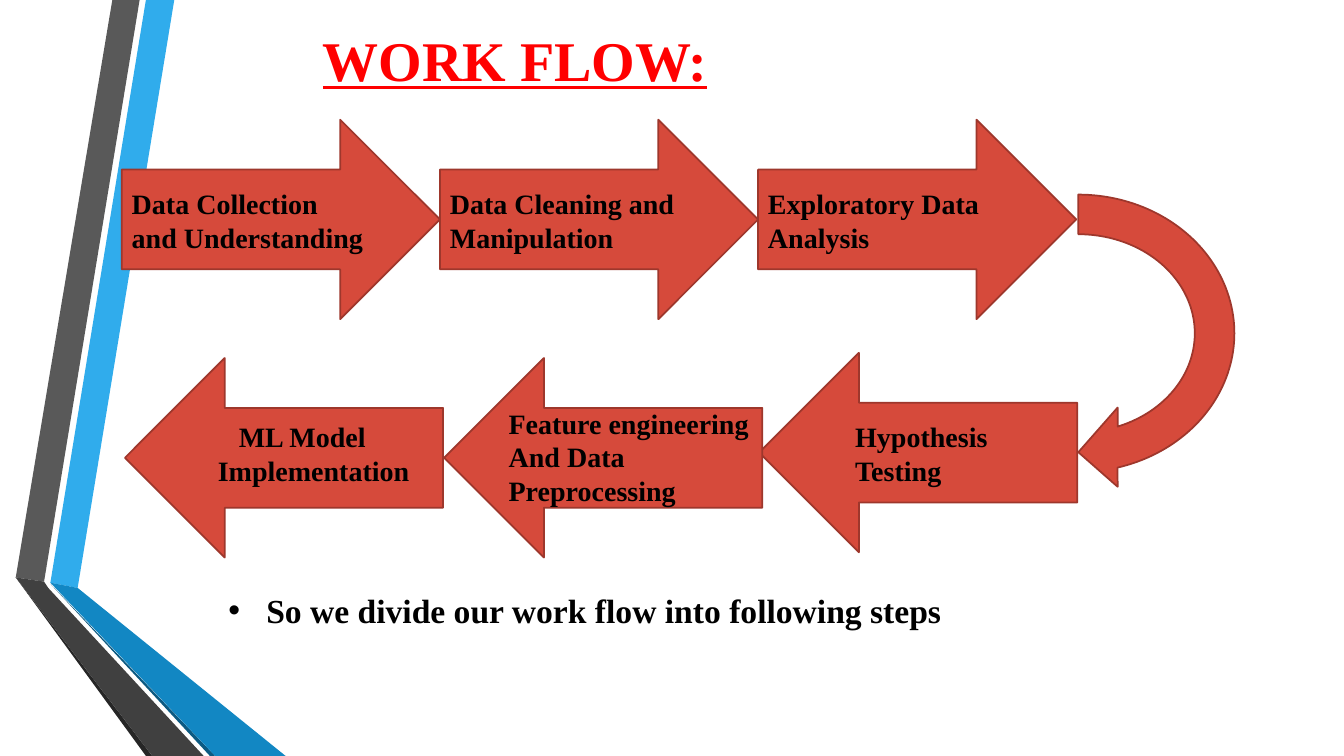
from pptx import Presentation
from pptx.dml.color import RGBColor
from pptx.enum.shapes import MSO_SHAPE
from pptx.enum.text import MSO_ANCHOR, MSO_AUTO_SIZE, PP_ALIGN
from pptx.util import Pt

PX = 9525  # 96 px to the inch
FONT = "Times New Roman"
COLORS = {
    "title": "FF0000", "text": "000000",
    "arrow": "D64A3B", "edge": "9E372C",
    "blue": "30ACEC", "azure": "1287C3", "navy": "0C5A82",
    "gray": "595959", "dark": "404040", "black": "262626",
}

RIBBONS = [
    ("blue", [(48, 555), (74, 560), (166, 0), (139, 0)]),
    ("gray", [(133, 0), (107, 0), (15, 550), (42, 554)]),
    ("black", [(15, 550), (139, 720), (145, 720)]),
    ("navy", [(48, 556), (200, 720), (205, 720)]),
    ("azure", [(48, 555), (205, 720), (272, 720), (74, 560)]),
    ("dark", [(194, 720), (46, 560), (42, 554), (15, 550), (145, 720)]),
]
TOP = ["Data Collection and Understanding",
       "Data Cleaning and Manipulation",
       "Exploratory Data Analysis"]
# Arrow left and top, label box, first line indent, label
BOTTOM = [
    ((723, 336), (805, 395, 241, 74), 0, "Hypothesis\nTesting"),
    ((423, 341), (475, 382, 275, 107), 0,
     "Feature engineering\nAnd Data Preprocessing"),
    ((119, 341), (198, 395, 241, 74), 20, "ML Model\nImplementation"),
]
SIZE = (303, 190)


def color(name):
    return RGBColor.from_string(COLORS[name])


def place(shape, box):
    shape.left, shape.top, shape.width, shape.height = [v * PX for v in box]


def write(frame, text, size, tint="text", line=False):
    frame.text = text
    frame.word_wrap = True
    frame.auto_size = MSO_AUTO_SIZE.NONE
    for par in frame.paragraphs:
        par.alignment = PP_ALIGN.LEFT
        par.space_before = Pt(0)
        for run in par.runs:
            font = run.font
            font.name, font.size, font.bold = FONT, Pt(size), True
            font.underline = line
            font.color.rgb = color(tint)


def indent(par, left, first):
    props = par._p.get_or_add_pPr()
    props.set("marL", str(left * PX))
    props.set("indent", str(first * PX))


def add_arrow(slide, kind, box, turn=0):
    arrow = slide.shapes.add_shape(kind, *[v * PX for v in box])
    arrow.rotation = turn
    arrow.shadow.inherit = False
    arrow.fill.solid()
    arrow.fill.fore_color.rgb = color("arrow")
    arrow.line.color.rgb = color("edge")
    arrow.line.width = Pt(1.25)


def add_label(slide, box, text, first=0):
    frame = slide.shapes.add_textbox(*[v * PX for v in box]).text_frame
    write(frame, text, 20)
    indent(frame.paragraphs[0], 0, first)


def add_ribbons(slide):
    group = slide.shapes.add_group_shape()
    for name, points in RIBBONS:
        pen = group.shapes.build_freeform(*points[0], scale=PX)
        pen.add_line_segments(points[1:], close=True)
        band = pen.convert_to_shape()
        band.shadow.inherit = False
        band.fill.solid()
        band.fill.fore_color.rgb = color(name)
        band.line.fill.background()


def add_title(slide, box):
    title = slide.shapes.title
    place(title, box)
    write(title.text_frame, "WORK FLOW:", 40, "title", True)
    title.text_frame.vertical_anchor = MSO_ANCHOR.MIDDLE


def add_top(slide, left, top):
    wide, high = SIZE
    for i, text in enumerate(TOP):
        x = left + i * wide
        add_arrow(slide, MSO_SHAPE.RIGHT_ARROW, (x, top, wide, high))
        add_label(slide, (x, top + 59, 241, 74), text)


def add_bottom(slide):
    for spot, _, _, _ in BOTTOM:
        add_arrow(slide, MSO_SHAPE.RIGHT_ARROW, spot + SIZE, 180)
    for _, box, first, text in BOTTOM:
        add_label(slide, box, text, first)


def add_list(slide, box):
    body = slide.placeholders[1]
    place(body, box)
    write(body.text_frame, "So we divide our work flow into following steps", 24)
    indent(body.text_frame.paragraphs[0], 36, -36)


def main():
    deck = Presentation()
    deck.slide_width, deck.slide_height = 1280 * PX, 720 * PX
    slide = deck.slides.add_slide(deck.slide_layouts[1])
    add_ribbons(slide)
    add_title(slide, (298, 16, 900, 80))
    add_top(slide, 116, 114)
    add_bottom(slide)
    # Bend from the top row to the bottom row
    add_arrow(slide, MSO_SHAPE.CIRCULAR_ARROW, (876, 150, 302, 335), 90)
    add_list(slide, (208, 557, 867, 48))
    deck.save("out.pptx")


if __name__ == "__main__":
    main()
